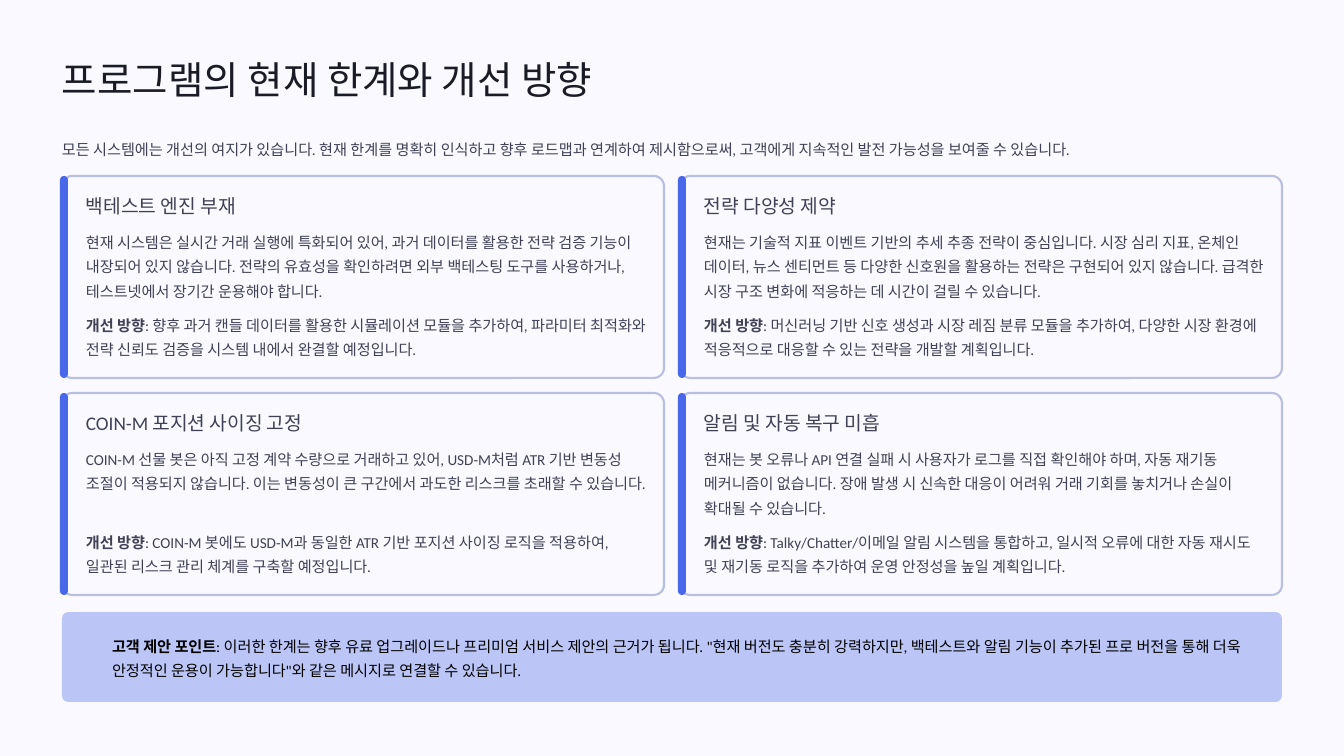
import dataclasses

import pptx
import pptx.dml.color
import pptx.enum.shapes
import pptx.util


@dataclasses.dataclass(frozen=True)
class Theme:
    """Colours, font and type sizes of the slide."""
    font: str = "Calibri"
    paper: str = "F9F9FF"
    title: str = "1B1B27"
    body: str = "404155"
    note: str = "000000"
    border: str = "B8BFDF"
    accent: str = "4967E9"
    banner: str = "BBC6F7"
    title_size: float = 33
    heading_size: float = 16.5
    body_size: float = 13
    title_leading: float = 41
    heading_leading: float = 20.5
    body_leading: float = 21
    border_width: float = 1.8


THEME = Theme()
PX_PER_INCH = 84
CARD_WIDTH, CARD_HEIGHT = 602, 202
COLUMN_GAP, ROW_GAP = 16, 15

TITLE = "프로그램의 현재 한계와 개선 방향"
INTRO = ("모든 시스템에는 개선의 여지가 있습니다. 현재 한계를 명확히 인식하고 향후 로드맵과 연계하여 "
         "제시함으로써, 고객에게 지속적인 발전 가능성을 보여줄 수 있습니다.")
PLAN_LABEL = "개선 방향"
CARDS = [
    ("백테스트 엔진 부재",
     "현재 시스템은 실시간 거래 실행에 특화되어 있어, 과거 데이터를 활용한 전략 검증 기능이 내장되어 있지 않습니다. "
     "전략의 유효성을 확인하려면 외부 백테스팅 도구를 사용하거나, 테스트넷에서 장기간 운용해야 합니다.",
     ": 향후 과거 캔들 데이터를 활용한 시뮬레이션 모듈을 추가하여, 파라미터 최적화와 전략 신뢰도 검증을 "
     "시스템 내에서 완결할 예정입니다."),
    ("전략 다양성 제약",
     "현재는 기술적 지표 이벤트 기반의 추세 추종 전략이 중심입니다. 시장 심리 지표, 온체인 데이터, 뉴스 센티먼트 등 "
     "다양한 신호원을 활용하는 전략은 구현되어 있지 않습니다. 급격한 시장 구조 변화에 적응하는 데 시간이 걸릴 수 있습니다.",
     ": 머신러닝 기반 신호 생성과 시장 레짐 분류 모듈을 추가하여, 다양한 시장 환경에 적응적으로 대응할 수 있는 "
     "전략을 개발할 계획입니다."),
    ("COIN-M 포지션 사이징 고정",
     "COIN-M 선물 봇은 아직 고정 계약 수량으로 거래하고 있어, USD-M처럼 ATR 기반 변동성 조절이 적용되지 않습니다. "
     "이는 변동성이 큰 구간에서 과도한 리스크를 초래할 수 있습니다.",
     ": COIN-M 봇에도 USD-M과 동일한 ATR 기반 포지션 사이징 로직을 적용하여, 일관된 리스크 관리 체계를 "
     "구축할 예정입니다."),
    ("알림 및 자동 복구 미흡",
     "현재는 봇 오류나 API 연결 실패 시 사용자가 로그를 직접 확인해야 하며, 자동 재기동 메커니즘이 없습니다. "
     "장애 발생 시 신속한 대응이 어려워 거래 기회를 놓치거나 손실이 확대될 수 있습니다.",
     ": Talky/Chatter/이메일 알림 시스템을 통합하고, 일시적 오류에 대한 자동 재시도 및 재기동 로직을 추가하여 "
     "운영 안정성을 높일 계획입니다."),
]
BANNER_LABEL = "고객 제안 포인트"
BANNER_TEXT = (": 이러한 한계는 향후 유료 업그레이드나 프리미엄 서비스 제안의 근거가 됩니다. \"현재 버전도 충분히 "
               "강력하지만, 백테스트와 알림 기능이 추가된 프로 버전을 통해 더욱 안정적인 운용이 가능합니다\"와 같은 "
               "메시지로 연결할 수 있습니다.")


def px(length):
    """Turn pixels into EMU."""
    return pptx.util.Emu(round(length * pptx.util.Inches(1) / PX_PER_INCH))


def rgb(code):
    """Turn a hex code into a colour."""
    return pptx.dml.color.RGBColor.from_string(code)


def apply_format(target, values):
    """Set each named attribute on the target."""
    for name, value in values.items():
        setattr(target, name, value)


def add_panel(page, box, radius, fill, border=None):
    """Draw a rounded rectangle."""
    kind = pptx.enum.shapes.MSO_SHAPE.ROUNDED_RECTANGLE
    panel = page.shapes.add_shape(kind, *map(px, box))
    panel.shadow.inherit = False
    panel.adjustments[0] = radius
    panel.fill.solid()
    panel.fill.fore_color.rgb = rgb(fill)
    if border:
        panel.line.color.rgb = rgb(border)
        panel.line.width = pptx.util.Pt(THEME.border_width)
    else:
        panel.line.fill.background()


def add_text(page, box, text, label="", size=THEME.body_size,
             leading=THEME.body_leading, color=THEME.body):
    """Write one paragraph, led by an optional bold label."""
    frame = page.shapes.add_textbox(*map(px, box)).text_frame
    apply_format(frame, {"margin_left": 0, "margin_top": 0, "margin_right": 0,
                         "margin_bottom": 0, "word_wrap": True})
    para = frame.paragraphs[0]
    para.line_spacing = pptx.util.Pt(leading)
    for words, bold in ((label, True), (text, False)):
        if words:
            span = para.add_run()
            span.text = words
            apply_format(span.font, {"name": THEME.font, "bold": bold,
                                     "size": pptx.util.Pt(size)})
            span.font.color.rgb = rgb(color)


def add_header(page, box):
    """Place the title and the introduction."""
    left, top, width, height = box
    add_text(page, (left, top, width, 49), TITLE, size=THEME.title_size,
             leading=THEME.title_leading, color=THEME.title)
    add_text(page, (left, top + height - 24, width, 24), INTRO)


def add_card(page, box, heading, limit, plan):
    """Place one limitation with its improvement plan."""
    left, top, width, height = box
    text_left, text_width = left + 24, width - 41
    add_panel(page, box, 0.05, THEME.paper, THEME.border)
    add_panel(page, (left - 2, top, 8, height), 0.5, THEME.accent)
    add_text(page, (text_left, top + 17, text_width, 24), heading,
             size=THEME.heading_size, leading=THEME.heading_leading)
    add_text(page, (text_left, top + 51, text_width, 74), limit)
    add_text(page, (text_left, top + 134, text_width, 50), plan, PLAN_LABEL)


def add_card_grid(page, left, top):
    """Place the cards in two columns."""
    for index, card in enumerate(CARDS):
        row, column = divmod(index, 2)
        box = (left + column * (CARD_WIDTH + COLUMN_GAP),
               top + row * (CARD_HEIGHT + ROW_GAP), CARD_WIDTH, CARD_HEIGHT)
        add_card(page, box, *card)


def add_banner(page, box):
    """Place the closing proposal point."""
    left, top, width, height = box
    add_panel(page, box, 0.07, THEME.banner)
    add_text(page, (left + 50, top + 19, width - 65, 50), BANNER_TEXT,
             BANNER_LABEL, color=THEME.note)


def main():
    """Build and save the deck."""
    deck = pptx.Presentation()
    apply_format(deck, {"slide_width": px(1344), "slide_height": px(756)})
    page = deck.slides.add_slide(deck.slide_layouts[6])
    page.background.fill.solid()
    page.background.fill.fore_color.rgb = rgb(THEME.paper)
    add_header(page, (62, 54, 1220, 104))
    add_card_grid(page, 62, 176)
    add_banner(page, (62, 612, 1220, 90))
    deck.save("out.pptx")


if __name__ == "__main__":
    main()
